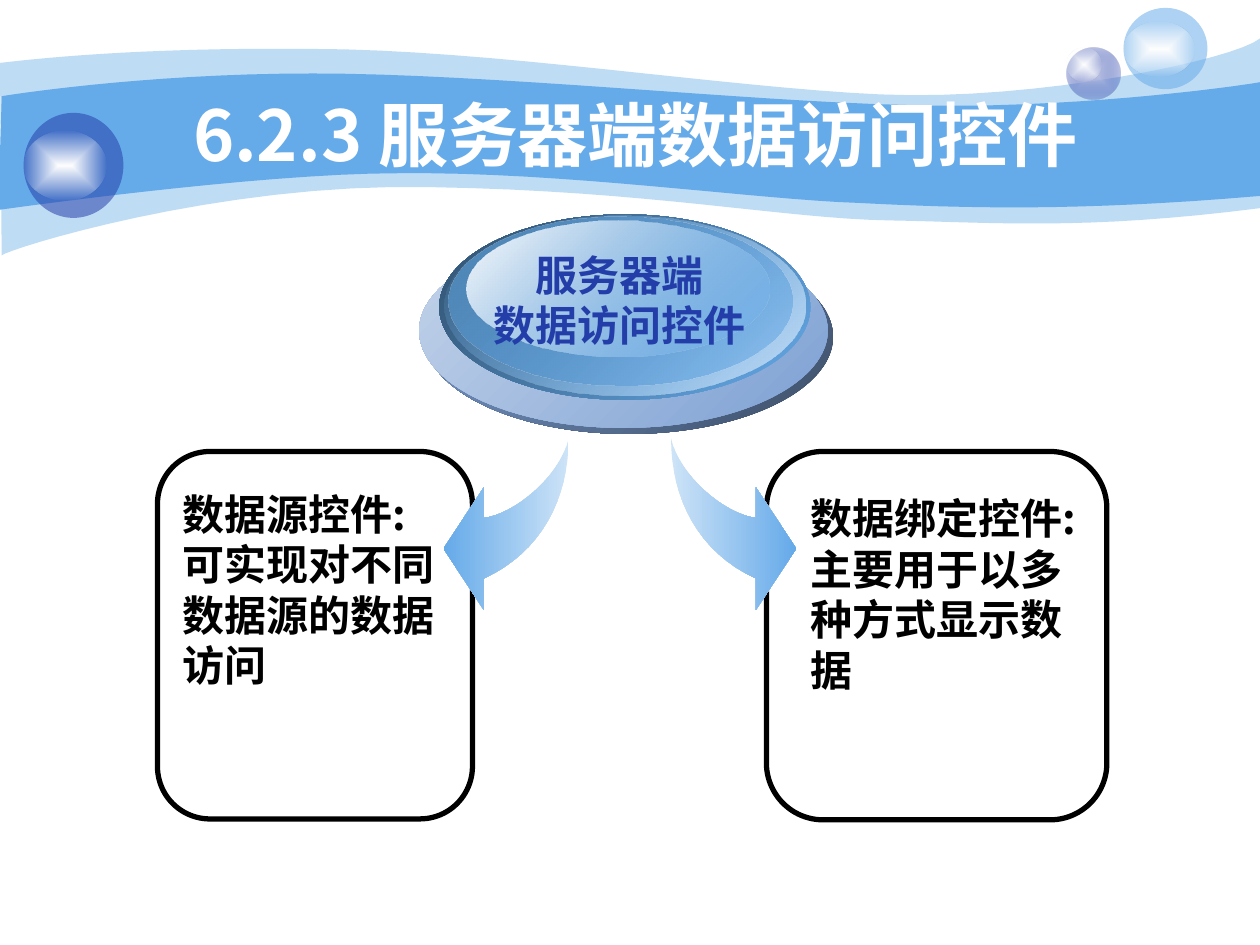
from dataclasses import dataclass

from lxml import etree
from pptx import Presentation
from pptx.dml.color import RGBColor
from pptx.enum.shapes import MSO_SHAPE
from pptx.enum.text import MSO_ANCHOR, PP_ALIGN
from pptx.oxml.ns import qn
from pptx.slide import Slide
from pptx.util import Pt

OVAL = MSO_SHAPE.OVAL
ROUNDED = MSO_SHAPE.ROUNDED_RECTANGLE
TOP, MIDDLE = MSO_ANCHOR.TOP, MSO_ANCHOR.MIDDLE
LEFT, CENTER = PP_ALIGN.LEFT, PP_ALIGN.CENTER

SKY, NAVY, WHITE, BLACK = "65AAE9", "233DA9", "FFFFFF", "000000"
GLOW = [(WHITE, 100), ("FEFEFE", 0)]
MIRROR_SUM = 708.5


def rgb(value):
    return RGBColor.from_string(value)


def curve(points, steps=16):
    """Return points along a chain of cubic curves."""
    traced = [points[0]]
    for first in range(0, len(points) - 1, 3):
        segment = points[first:first + 4]
        for step in range(1, steps + 1):
            t = step / steps
            weights = ((1 - t) ** 3, 3 * t * (1 - t) ** 2, 3 * t * t * (1 - t), t ** 3)
            traced.append(tuple(sum(w * p[axis] for w, p in zip(weights, segment))
                                for axis in (0, 1)))
    return traced


@dataclass
class Deck:
    """Draws styled elements on the current slide."""
    slide: Slide
    font: str = "Noto Sans CJK SC"
    body_size: float = 24
    body_pitch: float = 28.8

    def paint(self, shape, stops, angle=None):
        shape.shadow.inherit = False
        shape.line.fill.background()
        shape.fill.background()
        empty = shape._element.spPr.find(qn("a:noFill"))
        if len(stops) == 1:
            fill = etree.Element(qn("a:solidFill"))
            holders = [fill]
        else:
            fill = etree.Element(qn("a:gradFill"), rotWithShape="1")
            stop_list = etree.SubElement(fill, qn("a:gsLst"))
            holders = [etree.SubElement(stop_list, qn("a:gs"), pos=pos)
                       for pos in ("0", "100000")]
            if angle is None:
                spread = etree.SubElement(fill, qn("a:path"), {"path": "rect"})
                etree.SubElement(spread, qn("a:fillToRect"),
                                 dict.fromkeys("ltrb", "50000"))
            else:
                etree.SubElement(fill, qn("a:lin"), ang=str(angle * 60000), scaled="1")
        for holder, (color, opacity) in zip(holders, stops):
            tone = etree.SubElement(holder, qn("a:srgbClr"), val=color)
            if opacity < 100:
                etree.SubElement(tone, qn("a:alpha"), val=str(opacity * 1000))
        empty.getparent().replace(empty, fill)

    def ellipse(self, box, stops, angle=None):
        shape = self.slide.shapes.add_shape(OVAL, *map(Pt, box))
        self.paint(shape, stops, angle)

    def outline(self, points, stops, angle=None):
        corners = [(Pt(x), Pt(y)) for x, y in points]
        builder = self.slide.shapes.build_freeform(*corners[0])
        builder.add_line_segments(corners[1:], close=True)
        self.paint(builder.convert_to_shape(), stops, angle)

    def frame(self, box):
        shape = self.slide.shapes.add_shape(ROUNDED, *map(Pt, box))
        shape.shadow.inherit = False
        shape.fill.background()
        shape.line.color.rgb = rgb(BLACK)
        shape.line.width = Pt(3)

    def text(self, box, lines, color=BLACK, align=LEFT, font=None, wrap=True):
        self.typeset(box, lines, color, align, font or self.font, wrap,
                     self.body_size, TOP, Pt(self.body_pitch), 5.6)

    def title(self, box, words):
        self.typeset(box, [words], WHITE, CENTER, self.font, True, 40, MIDDLE, 1.0, 3.6)

    def typeset(self, box, lines, color, align, font, wrap, size, anchor, spacing, inset):
        frame = self.slide.shapes.add_textbox(*map(Pt, box)).text_frame
        layout = {"word_wrap": wrap, "vertical_anchor": anchor, "margin_top": Pt(inset),
                  "margin_bottom": Pt(3.6), "margin_left": Pt(7.2), "margin_right": Pt(7.2)}
        for name, value in layout.items():
            setattr(frame, name, value)
        for index, line in enumerate(lines):
            paragraph = frame.add_paragraph() if index else frame.paragraphs[0]
            paragraph.alignment = align
            paragraph.line_spacing = spacing
            run = paragraph.add_run()
            run.text = line
            for name, value in {"name": font, "size": Pt(size), "bold": True}.items():
                setattr(run.font, name, value)
            run.font.color.rgb = rgb(color)
            etree.SubElement(run._r.get_or_add_rPr(), qn("a:ea"), typeface=self.font)


def draw_banner(deck):
    pale_top = [(0, 36), (17, 34), (77, 27), (178, 28), (278, 28), (414, 50),
                (503, 54), (592, 58), (706, 34), (720, 22)]
    pale_bottom = [(720, 119), (618, 132), (567, 127), (508, 126), (448, 125),
                   (371, 109), (247, 107), (124, 104), (3, 143), (1, 146)]
    deep_top = [(1, 55), (1, 55), (79, 42), (179, 42), (278, 42), (428, 58),
                (517, 60), (606, 63), (703, 50), (720, 47)]
    deep_bottom = [(720, 112), (614, 121), (551, 119), (491, 116), (431, 114),
                   (322, 98), (228, 99), (146, 99), (-1, 120), (-1, 120)]
    for top, bottom, opacity in ((pale_top, pale_bottom, 41), (deep_top, deep_bottom, 100)):
        deck.outline(curve(top) + curve(bottom), [(SKY, opacity)])

    bubbles = [
        ((609.5, 27, 31, 29.5), [("C6CCE8", 100), (NAVY, 31)], (609.5, 27, 20, 19.5)),
        ((642, 4.5, 48, 46.5), [(SKY, 53)], (642, 12.5, 40.5, 31)),
        ((13.5, 64.5, 57, 60), [(NAVY, 53)], (13.5, 74.5, 47.5, 40)),
    ]
    for ball, stops, highlight in bubbles:
        deck.ellipse(ball, stops)
        deck.ellipse(highlight, GLOW)
    deck.title((72, 54, 582, 44.5), "6.2.3 服务器端数据访问控件")


def draw_hub(deck):
    layers = [
        ((242.5, 137, 233.5, 111), [("3C4D66", 100), ("7DA0D3", 100)]),
        ((239.5, 133.5, 233.5, 111), [("7DA0D3", 100), ("C4D4EA", 100)]),
        ((251, 122.5, 212, 106), [(SKY, 100), ("2E4E6B", 100)]),
        ((254, 123, 206, 103), [("C8E0F6", 100), (SKY, 0)]),
        ((256.5, 124, 196.5, 96.5), [(SKY, 48), ("4F86B7", 100)]),
        ((266.5, 126, 173, 78), [(SKY, 38), ("FEFEFE", 100)]),
    ]
    for box, stops in layers:
        deck.ellipse(box, stops, 225)
    deck.text((275, 137, 158.5, 65), ["服务器端", "数据访问控件"],
              NAVY, CENTER, "Arial", False)


def draw_branches(deck):
    outer = curve([(325, 250.5), (325, 284.5), (309.5, 315.5), (276.5, 330.5)])
    head = [(276.5, 348.5), (253.5, 313.5), (276.5, 278.5)]
    inner = curve([(276.5, 296), (294, 294), (320.5, 272), (325, 250.5)])
    left_arrow = outer + head + inner
    right_arrow = [(MIRROR_SUM - x, y) for x, y in left_arrow]
    branches = [
        ((90, 258, 180, 210), left_arrow, 180, (97, 273.5, 160.5, 122.5),
         "数据源控件:可实现对不同数据源的数据访问"),
        ((438, 258, 194.5, 210.5), right_arrow, 0, (456, 276, 170.5, 122.5),
         "数据绑定控件:主要用于以多种方式显示数据"),
    ]
    for border, arrow, angle, text_box, words in branches:
        deck.frame(border)
        deck.outline(arrow, [("CDE3F7", 100), (SKY, 100)], angle)
        deck.text(text_box, [words])


def main():
    presentation = Presentation()
    presentation.slide_width, presentation.slide_height = Pt(720), Pt(540)
    deck = Deck(presentation.slides.add_slide(presentation.slide_layouts[6]))
    draw_banner(deck)
    draw_hub(deck)
    draw_branches(deck)
    presentation.save("out.pptx")


if __name__ == "__main__":
    main()
